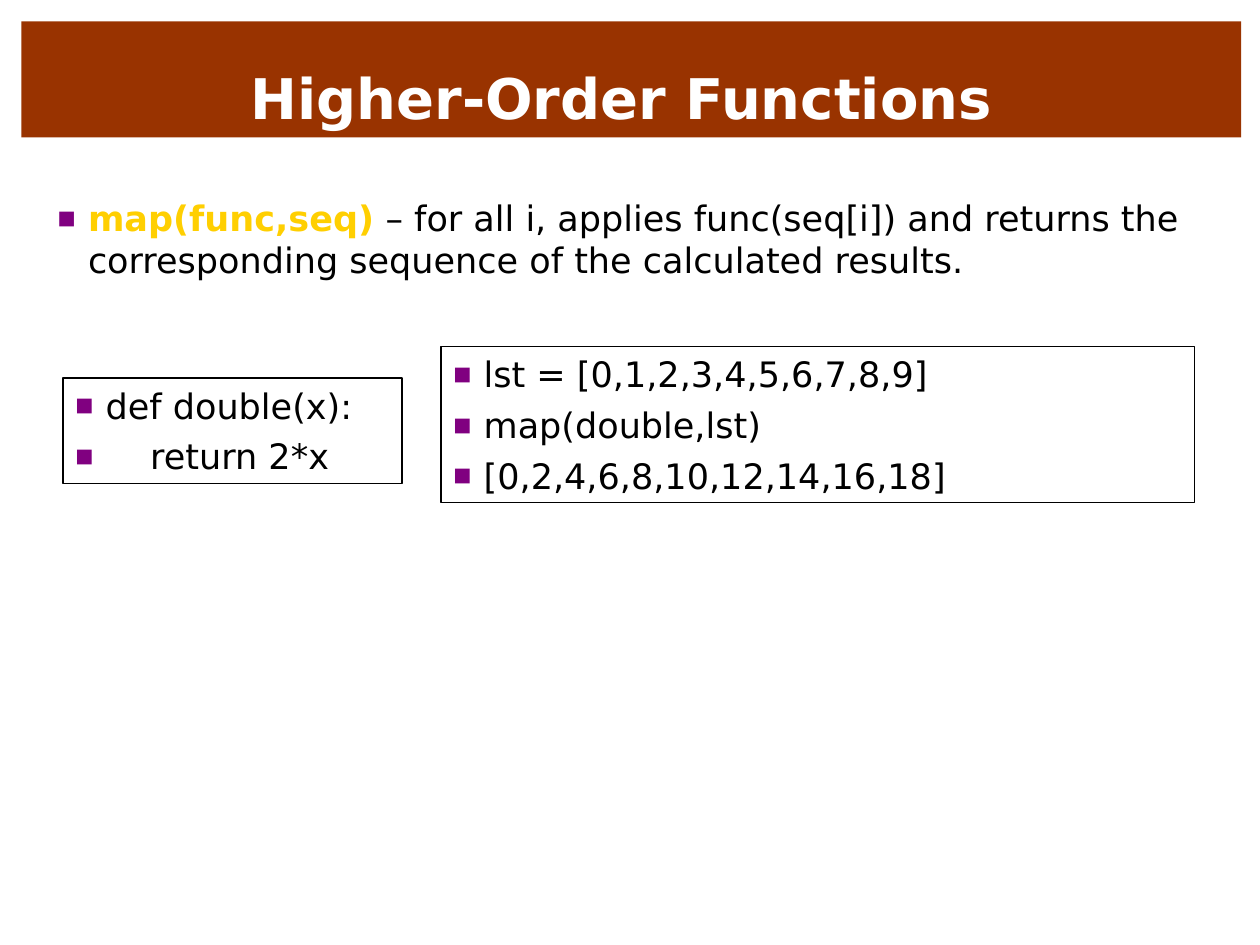
from lxml.etree import SubElement
from pptx import Presentation
from pptx.dml.color import RGBColor
from pptx.enum.shapes import MSO_SHAPE
from pptx.enum.text import MSO_ANCHOR, PP_ALIGN
from pptx.oxml.ns import qn
from pptx.util import Inches, Pt


def paint(font, size, color, bold=False):
    font.name = "DejaVu Sans"
    font.size = Pt(size)
    font.bold = bold
    font.color.rgb = RGBColor.from_string(color)


def bullet(para):
    props = para._p.get_or_add_pPr()
    props.set("marL", str(Inches(0.24)))
    props.set("indent", str(-Inches(0.24)))
    tint = SubElement(props, qn("a:buClr"))
    SubElement(tint, qn("a:srgbClr"), val="800080")
    SubElement(props, qn("a:buSzPct"), val="55000")
    SubElement(props, qn("a:buFont"), typeface="DejaVu Sans")
    SubElement(props, qn("a:buChar"), char="■")


deck = Presentation()
deck.slide_width = Inches(10)
deck.slide_height = Inches(7.5)
slide = deck.slides.add_slide(deck.slide_layouts[6])
shapes = slide.shapes

title = shapes.add_shape(
    MSO_SHAPE.RECTANGLE, Inches(0.17), Inches(0.17), Inches(9.68), Inches(0.92)
)
title.shadow.inherit = False
title.fill.solid()
title.fill.fore_color.rgb = RGBColor.from_string("993300")
title.line.fill.background()
frame = title.text_frame
frame.vertical_anchor = MSO_ANCHOR.BOTTOM
frame.text = "Higher-Order Functions "
para = frame.paragraphs[0]
para.alignment = PP_ALIGN.CENTER
paint(para.runs[0].font, 32, "FFFFFF", True)

intro = shapes.add_textbox(Inches(0.36), Inches(1.51), Inches(9.29), Inches(0.77))
frame = intro.text_frame
frame.word_wrap = True
para = frame.paragraphs[0]
bullet(para)
for text, color, bold in [
    ("map(func,seq)", "FFCF01", True),
    (
        " – for all i, applies func(seq[i]) and returns the "
        "corresponding sequence of the calculated results.",
        "000000",
        False,
    ),
]:
    run = para.add_run()
    run.text = text
    paint(run.font, 20, color, bold)

boxes = [
    (0.5, 3, 2.69, 0.84, ["def double(x):", "    return 2*x"]),
    (
        3.5, 2.75, 5.98, 1.24,
        ["lst = [0,1,2,3,4,5,6,7,8,9]", "map(double,lst)", "[0,2,4,6,8,10,12,14,16,18]"],
    ),
]
for left, top, width, height, lines in boxes:
    box = shapes.add_shape(
        MSO_SHAPE.RECTANGLE, Inches(left), Inches(top), Inches(width), Inches(height)
    )
    box.shadow.inherit = False
    box.fill.background()
    box.line.color.rgb = RGBColor.from_string("000000")
    box.line.width = Pt(0.75)
    frame = box.text_frame
    frame.vertical_anchor = MSO_ANCHOR.TOP
    frame.text = "\n".join(lines)
    for row, para in enumerate(frame.paragraphs):
        bullet(para)
        para.alignment = PP_ALIGN.LEFT
        if row:
            para.space_before = Pt(5)
        paint(para.runs[0].font, 20, "000000")

deck.save("out.pptx")
